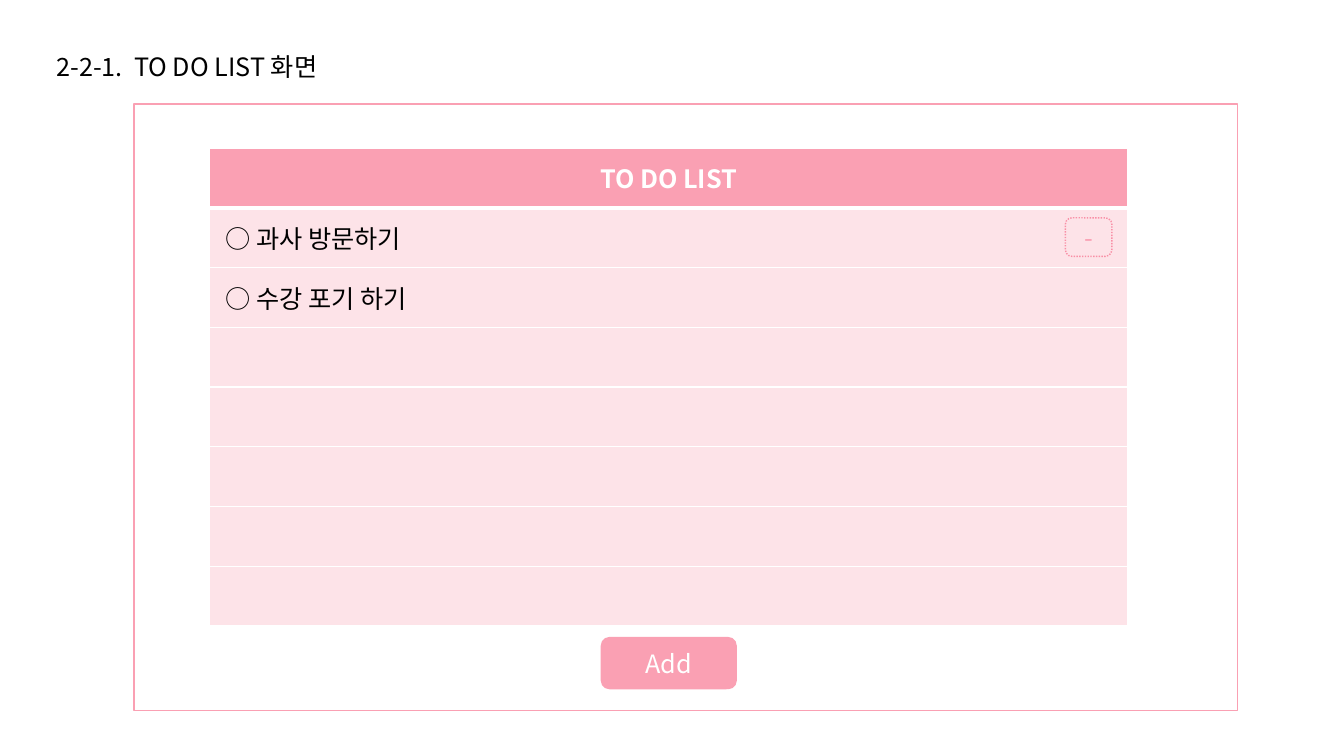
from lxml import etree
from pptx import Presentation
from pptx.dml.color import RGBColor
from pptx.enum.dml import MSO_LINE
from pptx.enum.shapes import MSO_SHAPE
from pptx.enum.text import MSO_ANCHOR, MSO_AUTO_SIZE, PP_ALIGN
from pptx.oxml.ns import qn
from pptx.util import Cm, Pt

RECTANGLE, ROUNDED = MSO_SHAPE.RECTANGLE, MSO_SHAPE.ROUNDED_RECTANGLE
LEFT, CENTER = PP_ALIGN.LEFT, PP_ALIGN.CENTER
TOP, MIDDLE = MSO_ANCHOR.TOP, MSO_ANCHOR.MIDDLE
GROW = MSO_AUTO_SIZE.SHAPE_TO_FIT_TEXT
DOTTED = MSO_LINE.ROUND_DOT

BLACK = RGBColor(0x00, 0x00, 0x00)
WHITE = RGBColor(0xFF, 0xFF, 0xFF)
PINK = RGBColor(0xFA, 0xA0, 0xB3)
ROSE = RGBColor(0xF9, 0x8F, 0xA6)

TITLE_ONLY = 5
ROW_COUNT = 8
ROW_OPACITY = 29
TASKS = [" ○ 과사 방문하기", " ○ 수강 포기 하기"]


class TodoSlide:
    """Holds the text style and the slide, and adds each kind of element."""

    def __init__(self, deck):
        self.slide = deck.slides.add_slide(deck.slide_layouts[TITLE_ONLY])
        self.font = {"name": "Noto Sans CJK KR", "size": Pt(18), "bold": False}

    def add_text(self, frame, text, color, align=LEFT, **changes):
        para = frame.paragraphs[0]
        para.alignment = align
        span = para.add_run()
        span.text = text
        style = {**self.font, **changes}
        for name, value in style.items():
            setattr(span.font, name, value)
        span.font.color.rgb = color
        east_asian = etree.SubElement(span.font._element, qn("a:ea"))
        east_asian.set("typeface", style["name"])

    def title(self, text, left, top, width, height):
        box = self.slide.shapes.title
        place = {"left": left, "top": top, "width": width, "height": height}
        for name, value in place.items():
            setattr(box, name, Cm(value))
        layout = {"word_wrap": False, "auto_size": GROW, "vertical_anchor": TOP}
        for name, value in layout.items():
            setattr(box.text_frame, name, value)
        self.add_text(box.text_frame, text, BLACK)

    def shape(self, kind, place, fill=None, line=None, dash=None, text="", color=WHITE):
        box = self.slide.shapes.add_shape(kind, *map(Cm, place))
        box.shadow.inherit = False
        for part, paint in ((box.fill, fill), (box.line.fill, line)):
            if paint is None:
                part.background()
            else:
                part.solid()
                part.fore_color.rgb = paint
        if line is not None:
            box.line.width = Pt(1)
            box.line.dash_style = dash
        if text:
            box.text_frame.vertical_anchor = MIDDLE
            self.add_text(box.text_frame, text, color, CENTER)

    def borders(self, cell, **widths):
        properties = cell._tc.get_or_add_tcPr()
        for position, side in enumerate("LRTB"):
            line = etree.Element(qn(f"a:ln{side}"), w=str(Pt(widths.get(side, 1))))
            fill = etree.SubElement(line, qn("a:solidFill"))
            etree.SubElement(fill, qn("a:srgbClr"), val=str(WHITE))
            properties.insert(position, line)

    def table(self, heading, tasks, place):
        table = self.slide.shapes.add_table(ROW_COUNT, 1, *map(Cm, place)).table
        table.horz_banding = False
        for index, row in enumerate(table.rows):
            cell = row.cells[0]
            cell.vertical_anchor = MIDDLE
            cell.fill.solid()
            cell.fill.fore_color.rgb = PINK
            if index == 0:
                self.add_text(cell.text_frame, heading, WHITE, CENTER, bold=True)
                self.borders(cell, B=3)
                continue
            color = cell._tc.tcPr.find(f"{qn('a:solidFill')}/{qn('a:srgbClr')}")
            etree.SubElement(color, qn("a:alpha"), val=str(ROW_OPACITY * 1000))
            self.borders(cell, T=3 if index == 1 else 1)
            if index <= len(tasks):
                self.add_text(cell.text_frame, tasks[index - 1], BLACK)


def main():
    deck = Presentation()
    deck.slide_width, deck.slide_height = Cm(33.87), Cm(19.05)
    page = TodoSlide(deck)
    page.title("2-2-1.  TO DO LIST 화면", 1.17, 1.17, 8.03, 1.02)
    page.table("TO DO LIST", TASKS, (5.28, 3.73, 23.14, 12.04))
    page.shape(ROUNDED, (15.14, 16.05, 3.43, 1.32), fill=PINK, text="Add")
    page.shape(ROUNDED, (26.85, 5.49, 1.17, 0.97), line=ROSE, dash=DOTTED,
               text="-", color=PINK)
    page.shape(RECTANGLE, (3.38, 2.62, 27.81, 15.29), line=PINK)
    deck.save("out.pptx")


if __name__ == "__main__":
    main()
